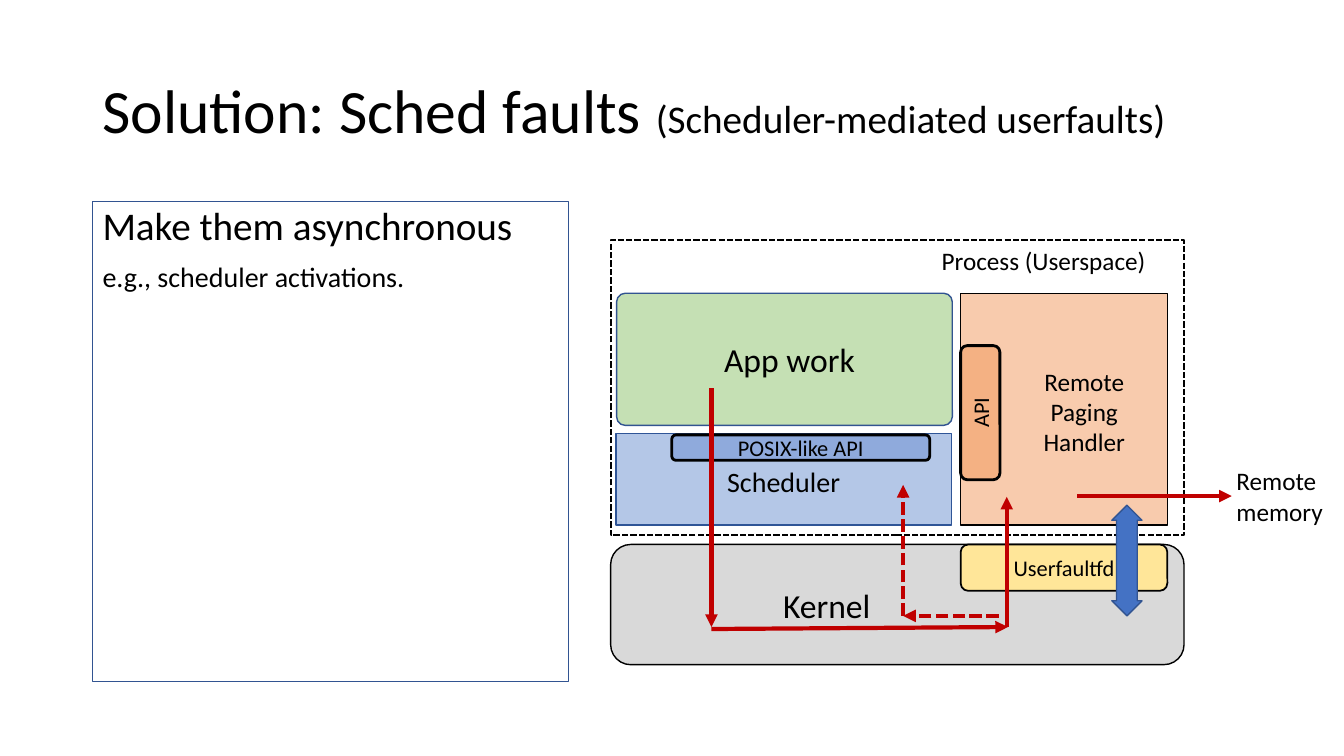
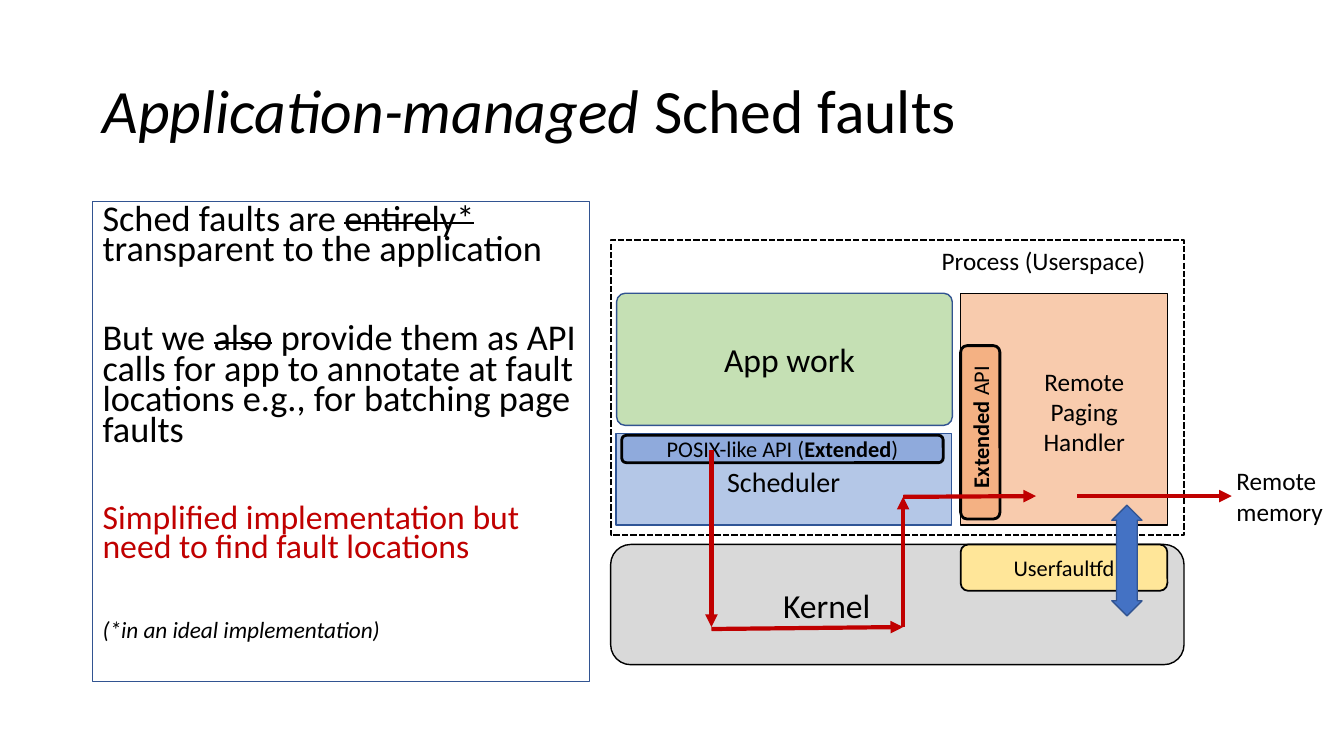
from lxml.etree import SubElement as Sub
from pptx import Presentation
from pptx.dml.color import RGBColor as Rgb
from pptx.enum.dml import MSO_LINE_DASH_STYLE as Dash
from pptx.enum.shapes import MSO_CONNECTOR as Link, MSO_SHAPE as Geo
from pptx.enum.text import MSO_ANCHOR as Anchor, MSO_AUTO_SIZE as Fit, PP_ALIGN as Align
from pptx.oxml.ns import qn
from pptx.util import Cm, Pt

FONT = "Calibri"
HUES = {
    "black": "000000", "red": "C00000", "navy": "325491", "edge": "2F5597",
    "blue": "4472C4", "sky": "B4C7E7", "steel": "8FAADC", "grey": "D9D9D9",
    "green": "C5E0B4", "peach": "F8CBAD", "orange": "F4B183", "yellow": "FFE699",
}
LEFT, APP, FAULT, BACK = 15.39, 17.93, 25.37, 22.76
SIDE = 24.21
LOW, HIGH = 15.8, 12.52


def hue(name):
    """Return the named colour."""
    return Rgb.from_string(HUES[name])


def write(para, parts, size, tint="black", align=Align.LEFT):
    """Fill a paragraph with (text, marks, size) parts; marks are b, i and s."""
    para.alignment = align
    for text, marks, *own in parts:
        run = para.add_run()
        run.text = text
        font = run.font
        font.name, font.size = FONT, Pt(own[0] if own else size)
        font.bold, font.italic = "b" in marks, "i" in marks
        font.color.rgb = hue(tint)
        if "s" in marks:
            run._r.get_or_add_rPr().set("strike", "sngStrike")


def place(shape, area):
    """Move a shape to an area in centimetres."""
    shape.left, shape.top, shape.width, shape.height = map(Cm, area)


def edge(line, tint, width, dash=None):
    """Style an outline or a line."""
    line.color.rgb = hue(tint)
    line.width = Pt(width)
    if dash:
        line.dash_style = dash


def box(slide, area, fill, parts=(), size=18, geo=Geo.RECTANGLE, tint="black",
        width=1, adj=(), pad=(0.25, 0.13, 0.25, 0.13), dash=None,
        anchor=Anchor.MIDDLE, turn=False):
    """Draw a preset shape with centred text."""
    shape = slide.shapes.add_shape(geo, *map(Cm, area))
    shape.shadow.inherit = False
    if fill:
        shape.fill.solid()
        shape.fill.fore_color.rgb = hue(fill)
    else:
        shape.fill.background()
    edge(shape.line, tint, width, dash)
    for num, value in enumerate(adj):
        shape.adjustments[num] = value
    frame = shape.text_frame
    frame.word_wrap, frame.vertical_anchor = True, anchor
    (frame.margin_left, frame.margin_top,
     frame.margin_right, frame.margin_bottom) = map(Cm, pad)
    if turn:
        shape.element.txBody.bodyPr.set("vert", "vert270")
    write(frame.paragraphs[0], parts, size, align=Align.CENTER)


def arrow(slide, start, end, dash=None):
    """Draw a red arrow between two points."""
    link = slide.shapes.add_connector(Link.STRAIGHT, *map(Cm, start + end))
    edge(link.line, "red", 3, dash)
    props = link.element.spPr
    Sub(props.find(qn("a:ln")), qn("a:tailEnd"), type="triangle")
    Sub(props, qn("a:effectLst"))


def head(slide, parts):
    """Write the slide title."""
    title = slide.shapes.title
    place(title, (2.33, 1.01, 29.21, 3.68))
    frame = title.text_frame
    frame.vertical_anchor, frame.auto_size = Anchor.MIDDLE, Fit.NONE
    frame.paragraphs[0].line_spacing = 0.9
    write(frame.paragraphs[0], parts, 44)


def body(slide, width, space, gap, items):
    """Write the framed text as (parts, size, tint) paragraphs."""
    shape = slide.placeholders[1]
    place(shape, (2.33, 5.08, width, 12.1))
    edge(shape.line, "navy", 0.75)
    frame = shape.text_frame
    frame.auto_size = Fit.NONE
    for num, (parts, size, tint) in enumerate(items):
        para = frame.add_paragraph() if num else frame.paragraphs[0]
        para.line_spacing = space
        para.space_before = Pt(gap if num else 10)
        props = para._p.get_or_add_pPr()
        props.set("marL", "0")
        props.set("indent", "0")
        Sub(props, qn("a:buNone"))
        write(para, parts, size, tint)


def stack(slide, api, tall, pad, posix, area):
    """Draw the process, its parts and the kernel."""
    round_ = Geo.ROUNDED_RECTANGLE
    box(slide, (LEFT, 13.72, 14.45, 3.03), "grey", [("Kernel", "")], 24, round_,
        pad=(0.25, 0.13, 3.81, 0.13))
    box(slide, (15.54, 7.39, 8.46, 3.33), "green", [("App work", "")], 24, round_,
        "navy", adj=[0.065], pad=(0.25, 0.13, 0, 0.13))
    box(slide, (LEFT, 6.05, 14.45, 7.44), None, [("Process (Userspace)", "")],
        width=1.5, pad=(7.62, 0.13, 0.25, 0.13), dash=Dash.SQUARE_DOT,
        anchor=Anchor.TOP)
    note = slide.shapes.add_textbox(*map(Cm, (30.91, 11.61, 2.97, 1.8))).text_frame
    note.word_wrap = True
    write(note.paragraphs[0], [("Remote memory", "")], 18)
    box(slide, (SIDE, 13.72, 5.21, 1.17), "yellow", [("Userfaultfd", "")], 16,
        round_, width=1.25)
    box(slide, (SIDE, 7.39, 5.21, 5.84), "peach", [("Remote Paging Handler", "")],
        pad=(1.27, 0.25, 0.25, 0.13))
    box(slide, (28.02, 12.73, 0.76, 2.79), "blue", geo=Geo.UP_DOWN_ARROW,
        tint="navy", adj=[0.5, 0.689])
    box(slide, (15.52, 10.92, 8.46, 2.31), "sky", [("Scheduler", "")], 20,
        tint="edge", pad=(0.25, 0.25, 0.25, 0.13))
    box(slide, (SIDE, 8.71, 0.99, tall), "orange", api, 16, round_, width=2,
        pad=(0.25, 0.13, 0.25, pad), turn=True)
    box(slide, area, "steel", posix, 16, round_, width=2)
    arrow(slide, (27.15, 12.5), (31.04, 12.5))


def first(slide):
    """Build the slide on scheduler-mediated faults."""
    head(slide, [("Solution: Sched faults ", ""),
                 ("(Scheduler-mediated userfaults)", "", 28)])
    body(slide, 11.99, 0.9, 10, [
        ([("Make them asynchronous", "")], 28, "black"),
        ([("e.g., scheduler activations.", "")], 20, "black")])
    stack(slide, [("API", "")], 3.38, 0.13,
          [("POSIX-like API", "")], (16.93, 10.96, 6.5, 0.64))
    arrow(slide, (APP, 9.78), (APP, LOW))
    arrow(slide, (APP, 15.85), (25.4, LOW))
    arrow(slide, (FAULT, LOW), (FAULT, HIGH))
    arrow(slide, (25.17, 15.52), (BACK, 15.52), Dash.SQUARE_DOT)
    arrow(slide, (BACK, 15.52), (BACK, 12.22), Dash.SQUARE_DOT)


def second(slide):
    """Build the slide on application-managed faults."""
    head(slide, [("Application-managed ", "i"), ("Sched faults", "")])
    body(slide, 12.52, 0.7, 42, [
        ([("Sched faults are ", ""), ("entirely* ", "s"),
          ("transparent to the application", "")], 25.9, "black"),
        ([("But we ", ""), ("also", "s"),
          (" provide them as API calls for app to annotate at fault locations "
           "e.g., for batching page faults", "")], 25.9, "black"),
        ([("Simplified implementation but need to find fault locations", "")],
         24.1, "red"),
        ([("(*in an ideal implementation)", "i")], 16.6, "black")])
    stack(slide, [("Extended", "b"), (" API", "")], 4.37, 0.4,
          [("POSIX-like API (", ""), ("Extended", "b"), (")", "")],
          (15.67, 10.97, 8.1, 0.69))
    arrow(slide, (APP, 11.35), (APP, LOW))
    arrow(slide, (APP, 15.85), (BACK, LOW))
    arrow(slide, (BACK, LOW), (BACK, HIGH))
    arrow(slide, (BACK, HIGH), (26.11, 12.5))


def main():
    """Build and save the deck."""
    deck = Presentation()
    deck.slide_width, deck.slide_height = Cm(33.87), Cm(19.05)
    for build in (first, second):
        build(deck.slides.add_slide(deck.slide_layouts[1]))
    deck.save("out.pptx")


if __name__ == "__main__":
    main()
